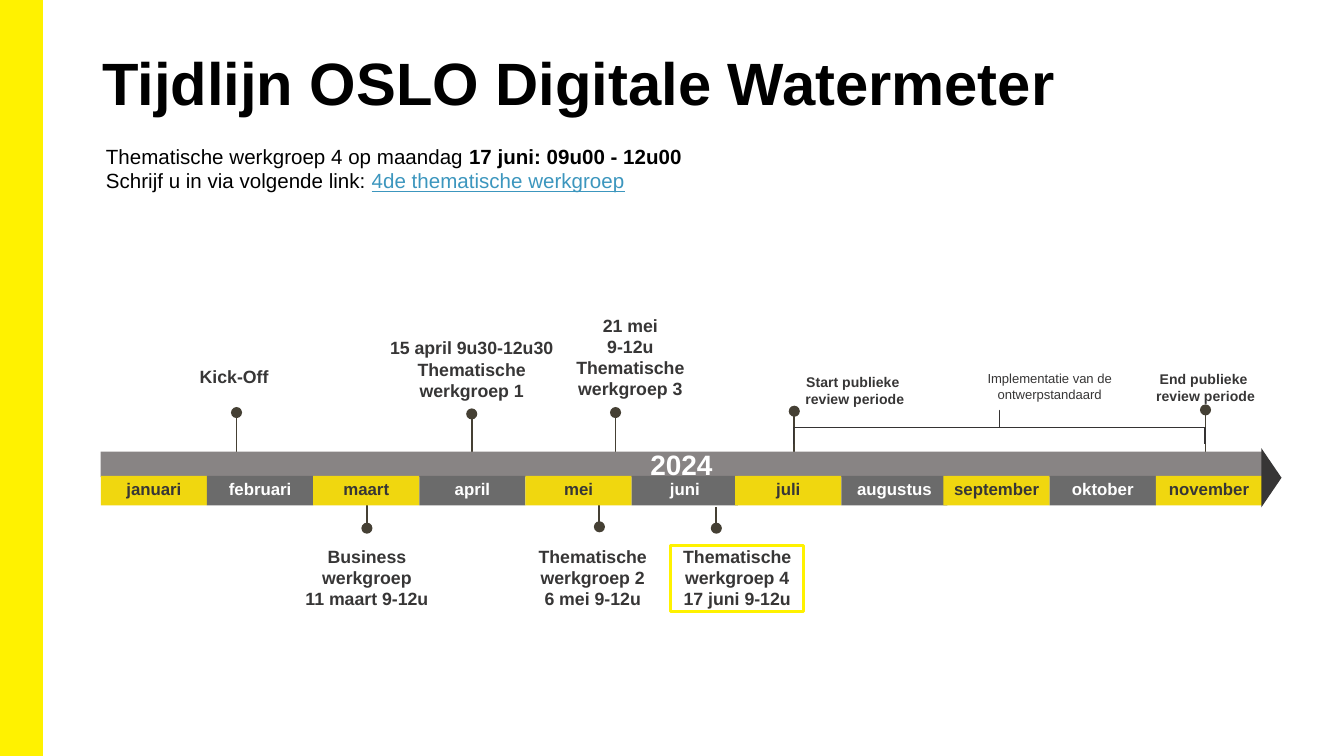
from dataclasses import dataclass
from typing import Any, NamedTuple

from pptx import Presentation
from pptx import util as u
from pptx.dml.color import RGBColor
from pptx.enum import shapes, text
from pptx.oxml import parse_xml
from pptx.oxml.ns import nsdecls

SHAPE = shapes.MSO_SHAPE
CENTER, LEFT = text.PP_ALIGN.CENTER, text.PP_ALIGN.LEFT
TOP, MIDDLE = text.MSO_ANCHOR.TOP, text.MSO_ANCHOR.MIDDLE


@dataclass(frozen=True)
class Theme:
    font: str = "Arial"
    black: str = "000000"
    white: str = "FFFFFF"
    accent: str = "FFF200"
    ink: str = "373636"
    pin: str = "454034"
    bracket: str = "353333"
    year_bar: str = "888484"
    month_yellow: str = "F0D70F"
    month_gray: str = "6B6B6B"
    link: str = "3C96BE"
    title_size: float = 32
    year_size: float = 15
    body_size: float = 11
    event_size: float = 9.5
    month_size: float = 9
    review_size: float = 7.5
    note_size: float = 7


class Box(NamedTuple):
    left: float
    top: float
    width: float
    height: float


class Pin(NamedTuple):
    x: float
    dot_y: float
    bar_y: float


class Label(NamedTuple):
    box: Box
    lines: tuple[str, ...]
    size: float
    bold: bool = True
    fill: str | None = None
    border: str | None = None
    border_width: float = 2


class MonthGroup(NamedTuple):
    left: float
    names: tuple[str, ...]


class Span(NamedTuple):
    words: str
    style: dict[str, Any]


THEME = Theme()
SLIDE_WIDTH = 10
SLIDE_HEIGHT = SLIDE_WIDTH * 9 / 16
MONTH_WIDTH, MONTH_TOP, MONTH_HEIGHT = 0.79, 3.54, 0.22

MONTH_GROUPS = (
    MonthGroup(0.75, ("januari", "februari", "maart", "april", "mei", "juni")),
    MonthGroup(5.47, ("juli", "augustus")),
    MonthGroup(7.02, ("september", "oktober", "november")),
)
PINS = (
    Pin(1.76, 3.07, 3.48), Pin(3.51, 3.08, 3.37), Pin(4.58, 3.07, 3.36),
    Pin(5.91, 3.06, 3.6), Pin(8.97, 3.05, 3.61),
    Pin(2.73, 3.93, 3.69), Pin(4.46, 3.92, 3.69), Pin(5.33, 3.93, 3.77),
)
WHITE_BOX = {"fill": THEME.white, "border": THEME.white}
LABELS = (
    Label(Box(1.22, 2.72, 1.08, 0.37), ("Kick-Off ",), THEME.event_size),
    Label(Box(2.88, 2.51, 1.26, 0.5), ("15 april 9u30-12u30", "Thematische werkgroep 1"),
          THEME.event_size, **WHITE_BOX),
    Label(Box(3.82, 4.06, 1.18, 0.57), ("Thematische werkgroep 2", "6 mei 9-12u"),
          THEME.event_size, **WHITE_BOX),
    Label(Box(5.82, 2.78, 1.08, 0.34), ("Start publieke ", "review periode"), THEME.review_size),
    Label(Box(8.43, 2.76, 1.08, 0.37), ("End publieke ", "review periode"), THEME.review_size),
    Label(Box(7.09, 2.76, 1.44, 0.37), ("Implementatie van de ontwerpstandaard",),
          THEME.note_size, bold=False),
    Label(Box(2.19, 4.06, 1.08, 0.56), ("Business werkgroep", "11 maart 9-12u"),
          THEME.event_size, **WHITE_BOX),
    Label(Box(4.15, 2.34, 1.08, 0.66), ("21 mei", "9-12u", "Thematische werkgroep 3"),
          THEME.event_size, **WHITE_BOX),
    Label(Box(4.99, 4.06, 0.99, 0.49), ("Thematische werkgroep 4", "17 juni 9-12u"),
          THEME.event_size, border=THEME.accent, border_width=1.5),
)
INVITATION = (
    (Span("Thematische werkgroep 4 op maandag ", {}),
     Span("17 juni: 09u00 - 12u00", {"bold": True})),
    (Span("Schrijf u in via volgende link: ", {}),
     Span("4de thematische werkgroep", {"color": THEME.link, "underline": True})),
)


def apply(target: Any, values: dict[str, Any]) -> None:
    for name, value in values.items():
        setattr(target, name, value)


def inches(box: Box) -> list[u.Length]:
    return [u.Inches(length) for length in box]


def format_frame(frame: Any, insets: Box, anchor: Any = TOP, wrap: bool = True) -> None:
    """Insets run left, top, right, bottom."""
    sides = ("margin_left", "margin_top", "margin_right", "margin_bottom")
    apply(frame, {"word_wrap": wrap, "auto_size": text.MSO_AUTO_SIZE.NONE,
                  "vertical_anchor": anchor, **dict(zip(sides, inches(insets)))})


def write(frame: Any, paragraphs: Any, style: dict[str, Any], align: Any = CENTER) -> None:
    """Fill a frame with paragraphs of spans; a span's style overrides the shared one."""
    for index, spans in enumerate(paragraphs):
        paragraph = frame.add_paragraph() if index else frame.paragraphs[0]
        paragraph.alignment = align
        for span in spans:
            run = paragraph.add_run()
            run.text = span.words
            values = {"name": THEME.font, **style, **span.style}
            run.font.color.rgb = RGBColor.from_string(values.pop("color"))
            values["size"] = u.Pt(values["size"])
            apply(run.font, values)


def add_figure(slide: Any, kind: Any, box: Box, fill: str | None = None,
               border: str | None = None, border_width: float = 1) -> Any:
    figure = slide.shapes.add_shape(kind, *inches(box))
    figure.shadow.inherit = False
    if fill:
        figure.fill.solid()
        figure.fill.fore_color.rgb = RGBColor.from_string(fill)
    else:
        figure.fill.background()
    if border:
        figure.line.color.rgb = RGBColor.from_string(border)
        figure.line.width = u.Pt(border_width)
    else:
        figure.line.fill.background()
    return figure


def add_pin(slide: Any, pin: Pin) -> None:
    x = u.Inches(pin.x)
    stem = slide.shapes.add_connector(shapes.MSO_CONNECTOR.STRAIGHT, x, u.Inches(pin.dot_y),
                                      x, u.Inches(pin.bar_y))
    stem.line.color.rgb = RGBColor.from_string(THEME.pin)
    stem.line.width = u.Pt(1)
    stem.line._get_or_add_ln().append(parse_xml(f'<a:headEnd {nsdecls("a")} type="oval"/>'))
    stem._element.spPr.append(parse_xml(f'<a:effectLst {nsdecls("a")}/>'))


def add_label(slide: Any, label: Label) -> None:
    if label.fill or label.border:
        holder = add_figure(slide, SHAPE.RECTANGLE, label.box, label.fill,
                            label.border, label.border_width)
    else:
        holder = slide.shapes.add_textbox(*inches(label.box))
    format_frame(holder.text_frame, Box(0, 0, 0, 0))
    write(holder.text_frame, [[Span(line, {})] for line in label.lines],
          {"size": label.size, "bold": label.bold, "color": THEME.ink})


def add_band(slide: Any, box: Box, words: str, fill: str, color: str, size: float,
             insets: Box) -> None:
    band = add_figure(slide, SHAPE.RECTANGLE, box, fill)
    format_frame(band.text_frame, insets, MIDDLE, wrap=False)
    write(band.text_frame, [[Span(words, {})]], {"size": size, "bold": True, "color": color})


def add_months(slide: Any) -> None:
    yellow = True
    for group in MONTH_GROUPS:
        for index, month in enumerate(group.names):
            box = Box(group.left + index * MONTH_WIDTH, MONTH_TOP, MONTH_WIDTH, MONTH_HEIGHT)
            fill, color = ((THEME.month_yellow, THEME.ink) if yellow
                           else (THEME.month_gray, THEME.white))
            add_band(slide, box, month, fill, color, THEME.month_size, Box(0.08, 0.08, 0.08, 0.1))
            yellow = not yellow


def add_heading(slide: Any) -> None:
    title = slide.shapes.title
    apply(title, dict(zip(("left", "top", "width", "height"), inches(Box(0.69, 0.3, 8.62, 0.81)))))
    format_frame(title.text_frame, Box(0.07, 0.04, 0.07, 0.04))
    write(title.text_frame, [[Span("Tijdlijn OSLO Digitale Watermeter", {})]],
          {"size": THEME.title_size, "bold": True, "color": THEME.black}, LEFT)
    invitation = slide.shapes.add_textbox(*inches(Box(0.69, 0.97, 5.23, 0.6))).text_frame
    format_frame(invitation, Box(0.1, 0.1, 0.1, 0.1))
    write(invitation, INVITATION, {"size": THEME.body_size, "color": THEME.black}, LEFT)


def main() -> None:
    deck = Presentation()
    apply(deck, {"slide_width": u.Inches(SLIDE_WIDTH), "slide_height": u.Inches(SLIDE_HEIGHT)})
    slide = deck.slides.add_slide(deck.slide_layouts[5])
    add_figure(slide, SHAPE.RECTANGLE, Box(0, 0, 0.31, SLIDE_HEIGHT), THEME.accent, THEME.accent)
    add_heading(slide)
    for pin in PINS:
        add_pin(slide, pin)
    review = add_figure(slide, SHAPE.LEFT_BRACE, Box(7.31, 1.65, 0.25, 3.06),
                        border=THEME.bracket, border_width=0.75)
    review.rotation = 90
    review.adjustments[0], review.adjustments[1] = 0, 0.5
    add_band(slide, Box(0.75, 3.36, 8.64, 0.19), "2024", THEME.year_bar, THEME.white,
             THEME.year_size, Box(0.1, 0.05, 0.1, 0.05))
    add_months(slide)
    year_end = add_figure(slide, SHAPE.ISOSCELES_TRIANGLE, Box(9.24, 3.48, 0.44, 0.15), THEME.ink)
    year_end.rotation = 90
    for label in LABELS:
        add_label(slide, label)
    deck.save("out.pptx")


if __name__ == "__main__":
    main()
